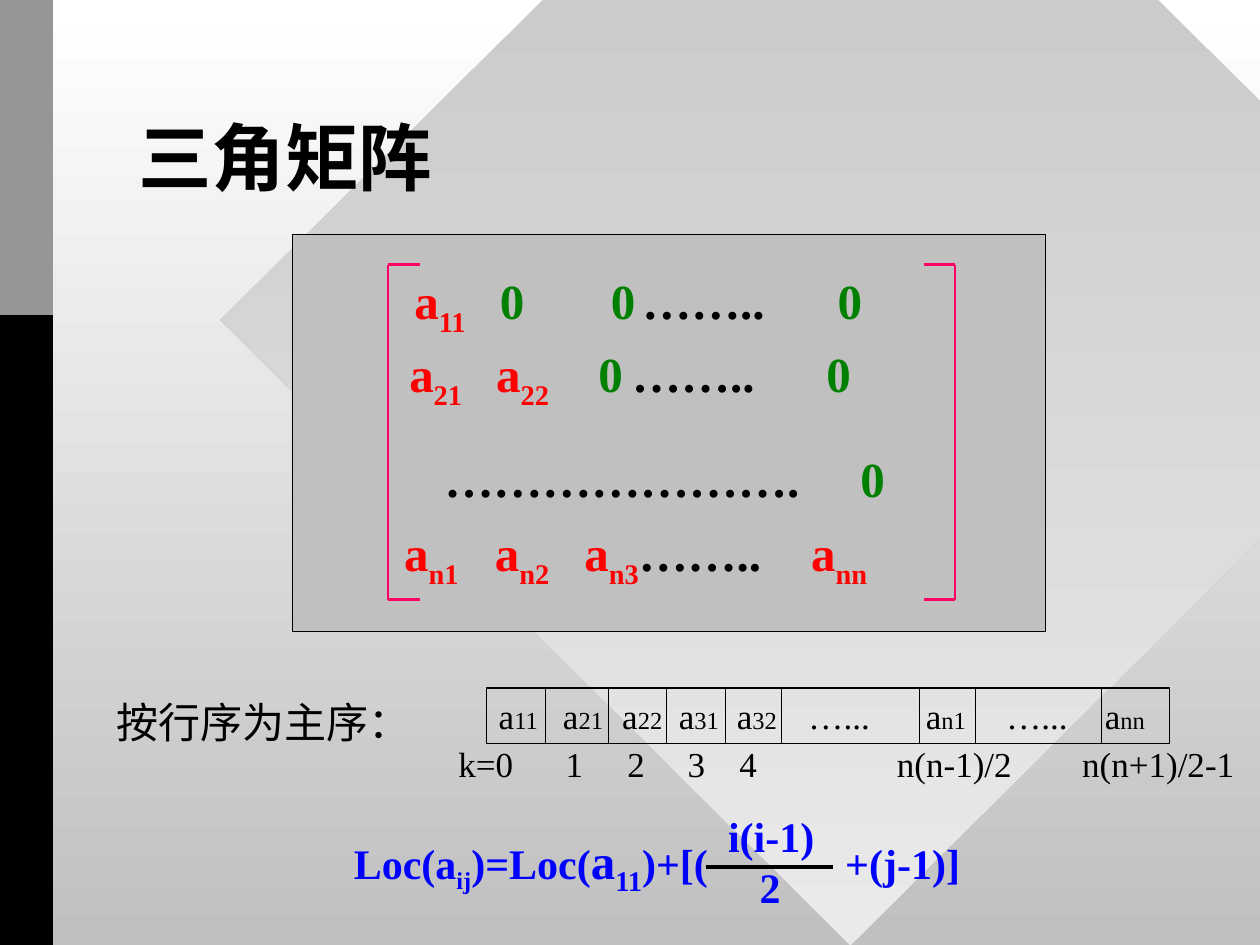
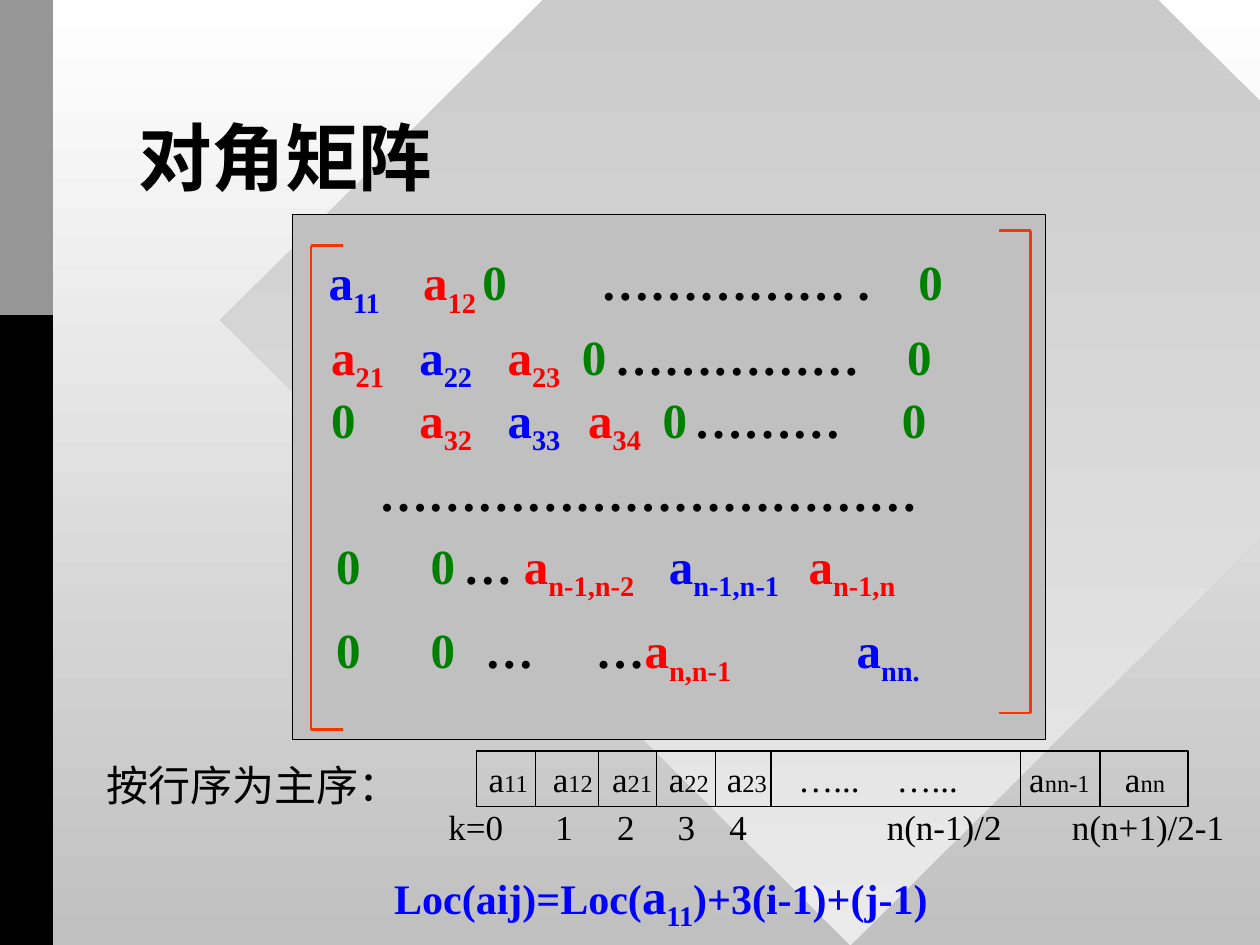
from pptx import Presentation
from pptx.util import Inches, Pt
from pptx.dml.color import RGBColor
from pptx.enum.shapes import MSO_SHAPE as Kind, MSO_CONNECTOR as Link
from pptx.enum.text import MSO_ANCHOR as Anchor, PP_ALIGN as Align
from pptx.oxml.ns import qn
from lxml.etree import SubElement

HUES = {
    "ink": "000000", "title": "010000", "red": "FF0000", "green": "008000",
    "blue": "0000FF", "pink": "FF0066", "flame": "FF3300",
    "white": "FFFFFF", "gray": "C0C0C0", "pale": "EAEAEA", "band": "969696",
}
WIDE, HIGH = 10, 7.5
SERIF, SANS = "Times New Roman", "Lato"
PAD, ARM, ROW = 0.1, 0.25, 0.44
WALLS = [0.47, 0.97, 1.43, 1.9, 2.34]
STOPS = [0.1, 0.61, 1.08, 1.53, 1.99]
MARKS = [(-0.22, "k=0"), (0.63, "1"), (1.12, "2"), (1.6, "3"), (2.01, "4"),
         (3.26, "n(n-1)/2"), (4.73, "n(n+1)/2-1")]

PAGES = [
    {
        "title": "三角矩阵",
        "panel": (2.32, 1.86, 5.98, 3.15),
        "hue": "pink",
        "sides": [(3.08, 1, 2.1, 4.76), (7.58, -1, 2.1, 4.76)],
        "rows": [
            ((2.16, 2.1, 5.75, 0.63), [
                (3.29, "a_11", "red"), (3.97, "0", "green"), (4.85, "0", "green"),
                (5.1, "……..", "ink"), (6.65, "0", "green")]),
            ((2.16, 2.68, 5, 0.63), [
                (3.25, "a_21", "red"), (3.94, "a_22", "red"), (4.75, "0", "green"),
                (5.02, "……..", "ink"), (6.56, "0", "green")]),
            ((2.16, 3.51, 5.83, 0.57), [
                (3.53, "………………….", "ink"), (6.83, "0", "green")]),
            ((2.16, 4.1, 5.67, 0.63), [
                (3.21, "a_n1", "red"), (3.93, "a_n2", "red"), (4.64, "a_n3", "red"),
                (None, "……..", "ink"), (6.44, "a_nn", "red")]),
        ],
        "tape": (3.86, 5.46, 5.42),
        "cells": ["a_11", "a_21", "a_22", "a_31", "a_32"],
        "tail": [(3.49, "a_n1"), (4.91, "a_nn")],
        "walls": [3.44, 3.88, 4.88],
        "dots": [2.46, 4.03],
        "sum": ((2.71, 6.54, 5.1, 0.63), [
            (None, "Loc(a_ij_)=Loc(", "blue"), (None, "a_11", "blue", 28),
            (None, ")+[(", "blue"), (6.71, "+(j-1)]", "blue")]),
        "ratio": [((5.68, 6.38, 0.92, 0.5), "i(i-1)"), ((5.93, 6.79, 0.55, 0.5), "2")],
        "bar": (5.6, 6.88, 6.61, 6.88),
    },
    {
        "title": "对角矩阵",
        "panel": (2.32, 1.7, 5.98, 4.17),
        "hue": "flame",
        "sides": [(2.47, 1, 1.95, 5.79), (8.18, -1, 1.83, 5.66)],
        "rows": [
            ((1.55, 1.95, 8.45, 0.63), [
                (2.61, "a_11", "blue"), (3.36, "a_12", "red"), (3.83, "0", "green"),
                (4.77, "…………… .", "ink"), (7.29, "0", "green")]),
            ((1.55, 2.54, 8.45, 0.63), [
                (2.63, "a_21", "red"), (3.33, "a_22", "blue"), (4.03, "a_23", "red"),
                (4.62, "0", "green"), (4.88, "……………", "ink"), (7.2, "0", "green")]),
            ((1.72, 3.04, 8.25, 0.63), [
                (2.63, "0", "green"), (3.33, "a_32", "red"), (4.03, "a_33", "blue"),
                (4.67, "a_34", "red"), (5.26, "0", "green"), (5.51, "………", "ink"),
                (7.16, "0", "green")]),
            ((1.63, 3.62, 6.29, 0.57), [(3.01, "……………………………", "ink")]),
            ((2.47, 4.2, 7.53, 0.63), [
                (2.67, "0", "green"), (3.42, "0", "green"), (3.68, "…", "ink"),
                (4.16, "a_n-1,n-2", "red"), (5.31, "a_n-1,n-1", "blue"),
                (6.42, "a_n-1,n", "red")]),
            ((2.47, 4.87, 7.53, 0.63), [
                (2.67, "0", "green"), (3.42, "0", "green"), (3.85, "…", "ink"),
                (4.73, "…", "ink"), (None, "a_n,n-1", "red"), (6.8, "a_nn.", "blue")]),
        ],
        "tape": (3.78, 5.96, 5.65),
        "cells": ["a_11", "a_12", "a_21", "a_22", "a_23"],
        "tail": [(4.39, "a_nn-1"), (5.15, "a_nn")],
        "walls": [4.32, 4.95],
        "dots": [2.46, 3.24],
        "sum": ((3.03, 6.82, 5.42, 0.63), [
            (None, "Loc(aij)=Loc(", "blue"), (None, "a_11", "blue", 28),
            (None, ")+3(i-1)+(j-1)", "blue")]),
        "ratio": [],
        "bar": None,
    },
]


def tint(name):
    return RGBColor.from_string(HUES[name])


def fade(fill, *names):
    fill.gradient()
    fill.gradient_angle = 270
    for stop, name in zip(fill.gradient_stops, names):
        stop.color.rgb = tint(name)


def shape(page, kind, box, fill=None, edge=None):
    item = page.shapes.add_shape(kind, *map(Inches, box))
    item.shadow.inherit = False
    if isinstance(fill, tuple):
        fade(item.fill, *fill)
    elif fill:
        item.fill.solid()
        item.fill.fore_color.rgb = tint(fill)
    else:
        item.fill.background()
    if edge:
        item.line.color.rgb = tint(edge)
        item.line.width = Pt(0.75)
    else:
        item.line.fill.background()
    return item


def line(page, ends, hue="ink", width=0.75):
    item = page.shapes.add_connector(Link.STRAIGHT, *map(Inches, ends))
    item.line.color.rgb = tint(hue)
    item.line.width = Pt(width)
    SubElement(item._element.spPr, qn("a:effectLst"))


def text(page, box, parts, size=20, hue="ink", font=SERIF, bold=False,
         mid=False, center=False, small=None, host=None, lead=None):
    item = host or page.shapes.add_textbox(*map(Inches, box))
    frame = item.text_frame
    frame.word_wrap = True
    frame.vertical_anchor = Anchor.MIDDLE if mid else Anchor.TOP
    frame.margin_left = frame.margin_right = Inches(0 if center else PAD)
    para = frame.paragraphs[0]
    para.alignment = Align.CENTER if center else Align.LEFT
    if lead:
        para.line_spacing = lead
    if isinstance(parts, str):
        parts = [(None, parts)]
    start = box[0] + PAD
    spots = [p[0] - start for p in parts if p[0] is not None and p[0] - start > 0.01]
    if spots:
        tabs = SubElement(para._p.get_or_add_pPr(), qn("a:tabLst"))
        for spot in spots:
            SubElement(tabs, qn("a:tab"), pos=str(Inches(spot)), algn="l")
    for spot, words, *look in parts:
        tone = look[0] if look else hue
        big = look[1] if len(look) > 1 else size
        jump = "\t" if spot is not None and spot - start > 0.01 else ""
        for i, bit in enumerate((jump + words).split("_")):
            if not bit:
                continue
            run = para.add_run()
            run.text = bit
            run.font.name, run.font.bold = font, bold
            run.font.color.rgb = tint(tone)
            run.font.size = Pt(small if i % 2 and small else big)
            if i % 2 and not small:
                run.font._element.set("baseline", "-25000")


def base(page, title):
    fade(page.background.fill, "white", "gray")
    shape(page, Kind.DIAMOND, (1.75, -2.42, 10, 9.92), ("gray", "pale"))
    shape(page, Kind.RECTANGLE, (0, 0, 0.42, HIGH), "ink")
    shape(page, Kind.RECTANGLE, (0, 0, 0.42, HIGH / 3), "band")
    text(page, (1, 0.67, 8, 1.25), title, size=42, hue="title", font=SANS,
         bold=True, mid=True, lead=0.85)


def matrix(page, data):
    shape(page, Kind.RECTANGLE, data["panel"], "gray", "title")
    for box, parts in data["rows"]:
        text(page, box, parts, size=28, bold=True)
    for x, way, top, low in data["sides"]:
        line(page, (x, top, x, low), data["hue"], 1.5)
        for y in (top, low):
            line(page, (x, y, x + way * ARM, y), data["hue"], 1.5)


def tape(page, data):
    left, top, width = data["tape"]
    box = (left, top, width, ROW)
    cells = list(zip(STOPS, data["cells"])) + data["tail"]
    host = shape(page, Kind.RECTANGLE, box, edge="ink")
    text(page, box, [(left + x, word) for x, word in cells],
         small=14, mid=True, host=host)
    for x in WALLS + data["walls"]:
        line(page, (left + x, top, left + x, top + ROW))
    for x in data["dots"]:
        text(page, (left + x, top, 0.68, ROW), "…...", mid=True, center=True)
    text(page, (left - 0.32, top + 0.38, 6.44, ROW),
         [(left + x, word) for x, word in MARKS], mid=True)
    text(page, (left - 3.03, top + 0.02, 2.53, 0.5), "按行序为主序：",
         size=24, mid=True, center=True)


def formula(page, data):
    text(page, *data["sum"], size=24, bold=True)
    for box, words in data["ratio"]:
        text(page, box, words, size=24, hue="blue", bold=True)
    if data["bar"]:
        line(page, data["bar"], width=2.25)


def main():
    deck = Presentation()
    deck.slide_width, deck.slide_height = Inches(WIDE), Inches(HIGH)
    for data in PAGES:
        page = deck.slides.add_slide(deck.slide_layouts[6])
        base(page, data["title"])
        matrix(page, data)
        tape(page, data)
        formula(page, data)
    deck.save("out.pptx")


if __name__ == "__main__":
    main()
